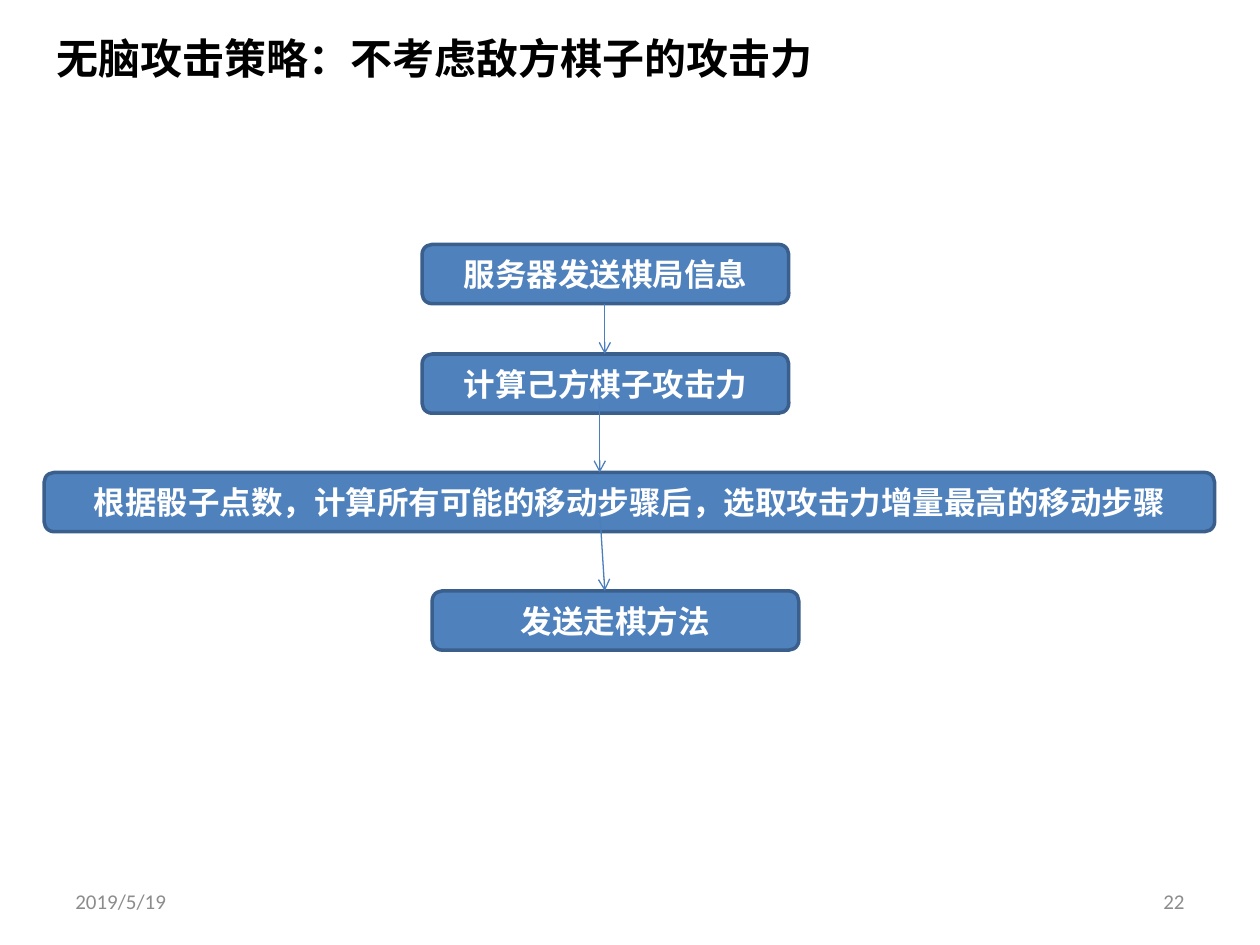
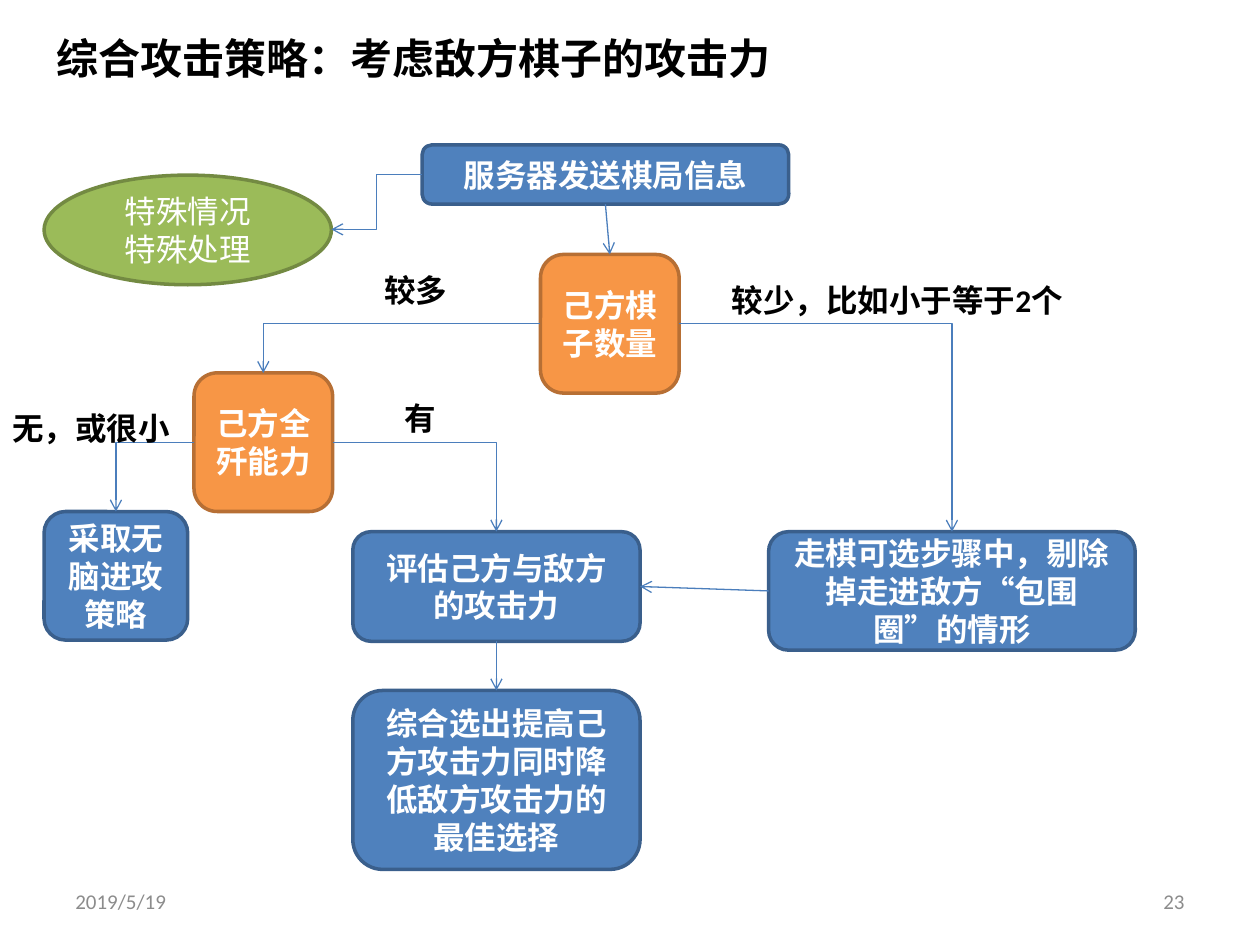
from dataclasses import dataclass
from typing import NamedTuple, Union

from lxml.etree import SubElement
from pptx import Presentation
from pptx.dml.color import RGBColor as Rgb
from pptx.enum.lang import MSO_LANGUAGE_ID as Lang
from pptx.enum.shapes import MSO_CONNECTOR as Wire, MSO_SHAPE as Form
from pptx.enum.text import MSO_ANCHOR as Anchor, PP_ALIGN as Align
from pptx.oxml.ns import qn
from pptx.shapes.autoshape import Shape
from pptx.slide import Slide
from pptx.text.text import TextFrame
from pptx.util import Inches, Pt


class Look(NamedTuple):
    fill: str
    edge: str
    bold: bool = True


@dataclass(frozen=True)
class Theme:
    font: str = "Calibri"
    ink: str = "000000"
    white: str = "FFFFFF"
    grey: str = "8C8C8C"
    wire: str = "4B7EBC"
    step: Look = Look("4F81BD", "3A5F8C")
    choice: Look = Look("F79646", "B76F34")
    case: Look = Look("9BBB59", "738A42", False)
    title: int = 24
    body: int = 18
    small: int = 12
    edge: float = 2
    thin: float = 0.75


THEME = Theme()
LEFT = 0.35
ROW = 0.47
WIDE = 2.91
MID = 2.28
SIDE = 1.1
TOP, WEST, BASE, EAST = range(4)


class Rect(NamedTuple):
    x: float
    y: float
    w: float
    h: float


class Node(NamedTuple):
    text: str
    area: Rect
    look: Look = THEME.step
    form: Form = Form.ROUNDED_RECTANGLE


class Label(NamedTuple):
    text: str
    area: Rect
    size: int = THEME.body
    color: str = THEME.ink
    bold: bool = True
    align: Align = Align.LEFT
    anchor: Anchor = Anchor.TOP


class Spot(NamedTuple):
    x: float
    y: float


class Port(NamedTuple):
    """A connection site of a drawn shape."""
    shape: Shape
    site: int


End = Union[Spot, Port]


class Arrow(NamedTuple):
    start: End
    end: End
    bends: int = 0


def write(frame: TextFrame, text: str, size: int, color: str, bold: bool, align: Align) -> None:
    frame.word_wrap = True
    for i, line in enumerate(text.split("\n")):
        para = frame.add_paragraph() if i else frame.paragraphs[0]
        para.alignment = align
        run = para.add_run()
        run.text = line
        font = run.font
        font.name, font.size, font.bold = THEME.font, Pt(size), bold
        font.color.rgb = Rgb.from_string(color)
        font.language_id = Lang.SIMPLIFIED_CHINESE


def put_node(slide: Slide, node: Node) -> Shape:
    shape = slide.shapes.add_shape(node.form, *map(Inches, node.area))
    shape.shadow.inherit = False
    shape.fill.solid()
    shape.fill.fore_color.rgb = Rgb.from_string(node.look.fill)
    shape.line.color.rgb = Rgb.from_string(node.look.edge)
    shape.line.width = Pt(THEME.edge)
    shape.text_frame.vertical_anchor = Anchor.MIDDLE
    write(shape.text_frame, node.text, THEME.body, THEME.white, node.look.bold, Align.CENTER)
    return shape


def put_label(slide: Slide, label: Label) -> None:
    frame = slide.shapes.add_textbox(*map(Inches, label.area)).text_frame
    frame.vertical_anchor = label.anchor
    write(frame, label.text, label.size, label.color, label.bold, label.align)


def put_arrow(slide: Slide, arrow: Arrow) -> None:
    """Draw an arrow that is straight, or has one or two bends."""
    start, end, bends = arrow
    spots = [Inches(n) for e in (start, end) for n in (e if isinstance(e, Spot) else Spot(0, 0))]
    link = slide.shapes.add_connector(Wire.ELBOW if bends else Wire.STRAIGHT, *spots)
    if isinstance(start, Port):
        link.begin_connect(*start)
    if isinstance(end, Port):
        link.end_connect(*end)
    link.line.color.rgb = Rgb.from_string(THEME.wire)
    link.line.width = Pt(THEME.thin)
    props = link.element.spPr
    if bends:
        props.find(qn("a:prstGeom")).set("prst", f"bentConnector{bends + 1}")
    SubElement(props.find(qn("a:ln")), qn("a:tailEnd"), type="arrow")
    SubElement(props, qn("a:effectLst"))


def put_frame(slide: Slide, title: str, width: float, page: int) -> None:
    """Draw the title, date and page number."""
    put_label(slide, Label(title, Rect(LEFT, 0.21, width, 0.5), THEME.title))
    for text, x, align in (("2019/5/19", 0.5, Align.LEFT), (str(page), 7.17, Align.RIGHT)):
        area = Rect(x, 6.95, 2.33, 0.4)
        put_label(slide, Label(text, area, THEME.small, THEME.grey, False, align, Anchor.MIDDLE))


def draw_simple(slide: Slide) -> None:
    put_frame(slide, "无脑攻击策略：不考虑敌方棋子的攻击力", 6.29, 22)
    nodes = (
        Node("服务器发送棋局信息", Rect(3.35, 1.94, WIDE, ROW)),
        Node("计算己方棋子攻击力", Rect(3.35, 2.81, WIDE, ROW)),
        Node("根据骰子点数，计算所有可能的移动步骤后，选取攻击力增量最高的移动步骤",
             Rect(LEFT, 3.75, 9.29, ROW)),
        Node("发送走棋方法", Rect(3.43, 4.69, WIDE, ROW)),
    )
    for node in nodes:
        put_node(slide, node)
    for arrow in (
        Arrow(Spot(4.8, 2.41), Spot(4.8, 2.81)),
        Arrow(Spot(4.76, 3.2), Spot(4.76, 3.75)),
        Arrow(Spot(4.76, 4.06), Spot(4.8, 4.69)),
    ):
        put_arrow(slide, arrow)


def draw_full(slide: Slide) -> None:
    put_frame(slide, "综合攻击策略：考虑敌方棋子的攻击力", 5.95, 23)
    nodes = (
        Node("服务器发送棋局信息", Rect(3.35, 1.15, WIDE, ROW)),
        Node("己方棋子数量", Rect(4.29, 2.02, SIDE, SIDE), THEME.choice),
        Node("己方全歼能力", Rect(1.54, 2.96, SIDE, SIDE), THEME.choice),
        Node("走棋可选步骤中，剔除掉走进敌方“包围圈”的情形", Rect(6.1, 4.22, WIDE, 0.94)),
        Node("采取无脑进攻策略", Rect(LEFT, 4.06, 1.14, 1.02)),
        Node("评估己方与敌方的攻击力", Rect(2.8, 4.22, MID, 0.87)),
        Node("综合选出提高己方攻击力同时降低敌方攻击力的最佳选择", Rect(2.8, 5.48, MID, 1.42)),
        Node("特殊情况\n特殊处理", Rect(LEFT, 1.39, MID, 0.87), THEME.case, Form.OVAL),
    )
    server, count, power, avoid, rush, rate, best, _ = [put_node(slide, n) for n in nodes]
    for arrow in (
        Arrow(Port(server, BASE), Port(count, TOP)),
        Arrow(Port(server, WEST), Spot(LEFT + MID, 1.82), 2),
        Arrow(Port(count, EAST), Port(avoid, TOP), 1),
        Arrow(Port(count, WEST), Port(power, TOP), 1),
        Arrow(Port(power, WEST), Port(rush, TOP), 1),
        Arrow(Port(power, EAST), Port(rate, TOP), 1),
        Arrow(Port(avoid, WEST), Port(rate, EAST)),
        Arrow(Port(rate, BASE), Port(best, TOP)),
    ):
        put_arrow(slide, arrow)
    for text, x, y, width in (
        ("较少，比如小于等于2个", 5.71, 2.18, 2.87),
        ("较多", 2.95, 2.1, 0.71),
        ("无，或很小", 0, 3.2, 1.47),
        ("有", 3.11, 3.12, 0.46),
    ):
        put_label(slide, Label(text, Rect(x, y, width, 0.4)))


def main() -> None:
    deck = Presentation()
    deck.slide_width, deck.slide_height = Inches(10), Inches(7.5)
    blank = deck.slide_layouts[6]
    for draw in (draw_simple, draw_full):
        draw(deck.slides.add_slide(blank))
    deck.save("out.pptx")


if __name__ == "__main__":
    main()
